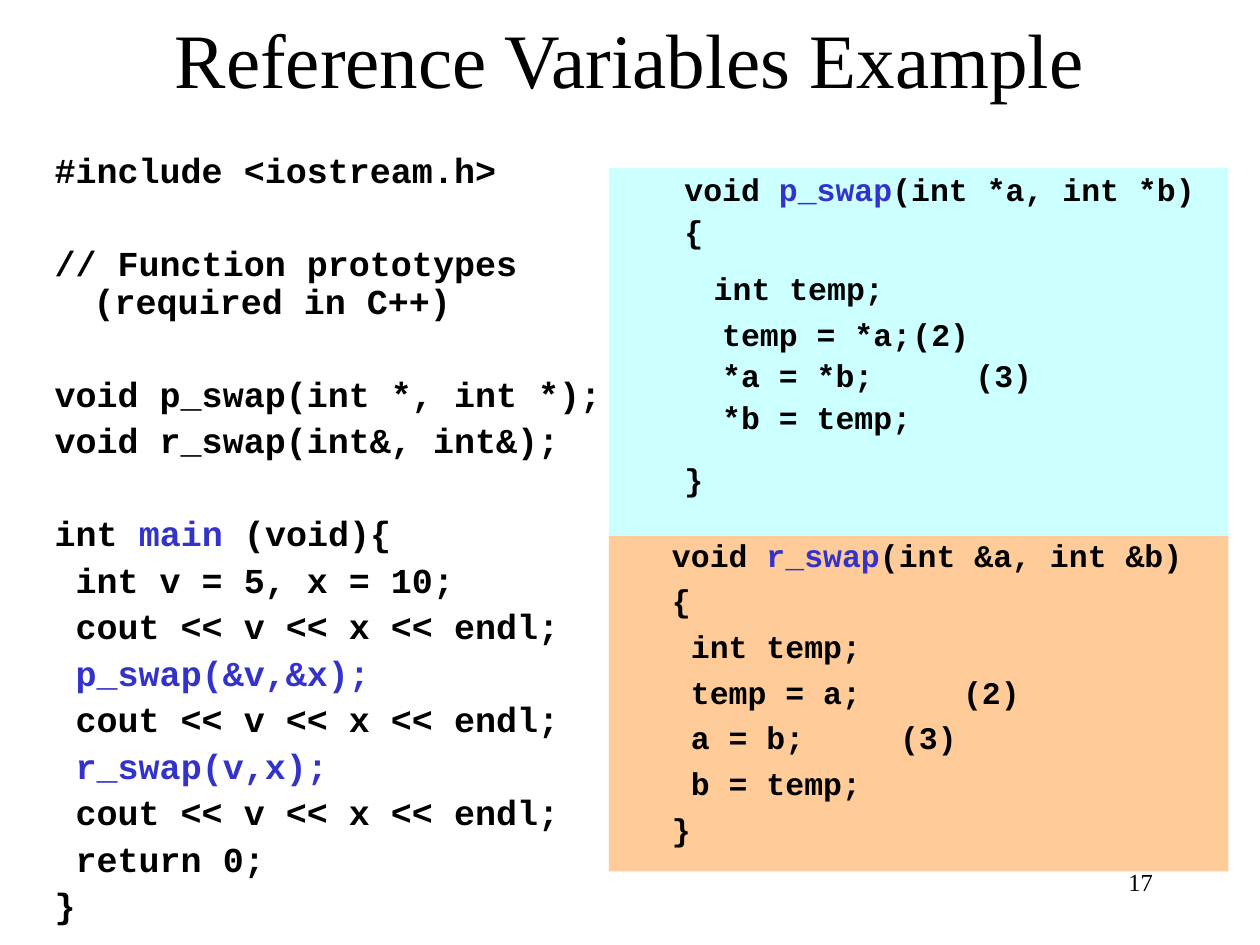
from dataclasses import dataclass

from lxml import etree
from pptx import Presentation
from pptx.dml.color import RGBColor
from pptx.enum.shapes import MSO_SHAPE
from pptx.enum.text import MSO_ANCHOR, MSO_AUTO_SIZE, PP_ALIGN
from pptx.oxml.ns import qn
from pptx.util import Inches, Pt

RECTANGLE = MSO_SHAPE.RECTANGLE
TOP, MIDDLE = MSO_ANCHOR.TOP, MSO_ANCHOR.MIDDLE
LEFT, CENTER, RIGHT = PP_ALIGN.LEFT, PP_ALIGN.CENTER, PP_ALIGN.RIGHT
NO_AUTOFIT = MSO_AUTO_SIZE.NONE

WIDTH, HEIGHT = Inches(10), Inches(7.5)
COLUMNS, ROWS = 120, 90


@dataclass(frozen=True)
class Theme:
    ink: RGBColor = RGBColor.from_string("000000")
    accent: RGBColor = RGBColor.from_string("3333CC")
    pointer_fill: RGBColor = RGBColor.from_string("CCFFFF")
    reference_fill: RGBColor = RGBColor.from_string("FFCC99")
    serif: str = "Times New Roman"
    mono: str = "Courier New"
    title_size: float = 44
    program_size: float = 20
    function_size: float = 18
    wide_indent_size: float = 28
    number_size: float = 14


THEME = Theme()


@dataclass(frozen=True)
class Line:
    """A code line; text between bars is accented, extra is added space before."""
    text: str
    extra: float = 0
    wide_indent: bool = False


BLANK_LINE = 26.5

PROGRAM = [
    Line("#include <iostream.h>"),
    Line("// Function prototypes (required in C++)", BLANK_LINE),
    Line("void p_swap(int *, int *);", BLANK_LINE),
    Line("void r_swap(int&, int&);"),
    Line("int |main| (void){", BLANK_LINE),
    Line(" int v = 5, x = 10;"),
    Line(" cout << v << x << endl;"),
    Line(" |p_swap(&v,&x);|"),
    Line(" cout << v << x << endl;"),
    Line(" |r_swap(v,x);|"),
    Line(" cout << v << x << endl;"),
    Line(" return 0;"),
    Line("}"),
]

POINTER_SWAP = [
    Line("void |p_swap|(int *a, int *b)"),
    Line("{"),
    Line(" int temp;", wide_indent=True),
    Line("  temp = *a;\t(2)"),
    Line("  *a = *b;\t\t(3)"),
    Line("  *b = temp;"),
    Line("}", extra=11.5),
]

REFERENCE_SWAP = [
    Line("void |r_swap|(int &a, int &b)"),
    Line("{"),
    Line(" int temp;"),
    Line(" temp = a;\t\t(2)"),
    Line(" a = b;\t\t(3)"),
    Line(" b = temp;"),
    Line("}"),
]


def grid(column, row, columns, rows):
    """Left, top, width and height of a block of grid cells."""
    return (WIDTH * column // COLUMNS, HEIGHT * row // ROWS,
            WIDTH * columns // COLUMNS, HEIGHT * rows // ROWS)


def place(shape, cells):
    shape.left, shape.top, shape.width, shape.height = grid(*cells)


def prepare_frame(frame, anchor=TOP, margins=(0.1, 0.05)):
    frame.word_wrap = True
    frame.auto_size = NO_AUTOFIT
    frame.vertical_anchor = anchor
    frame.margin_left = frame.margin_right = Inches(margins[0])
    frame.margin_top = frame.margin_bottom = Inches(margins[1])


def add_span(para, text, size, font, color=THEME.ink, bold=False):
    span = para.add_run()
    span.text = text
    span.font.name = font
    span.font.size = Pt(size)
    span.font.bold = bold
    span.font.color.rgb = color


def set_code_layout(para):
    """Hanging indent, no bullet and a tab stop at every inch."""
    properties = para._p.get_or_add_pPr()
    properties.set("marL", str(Inches(0.81)))
    properties.set("indent", str(Inches(-0.31)))
    etree.SubElement(properties, qn("a:buNone"))
    tabs = etree.SubElement(properties, qn("a:tabLst"))
    for inch in range(8):
        etree.SubElement(tabs, qn("a:tab"), pos=str(Inches(inch)), algn="l")


def write_code(frame, lines, size, spacing):
    for index, line in enumerate(lines):
        para = frame.add_paragraph() if index else frame.paragraphs[0]
        set_code_layout(para)
        para.alignment = LEFT
        para.line_spacing = spacing
        para.space_before = Pt(size / 4 + line.extra if index else 0)
        para.space_after = Pt(0)
        text = line.text
        if line.wide_indent:
            add_span(para, text[0], THEME.wide_indent_size, THEME.mono, bold=True)
            text = text[1:]
        for part, words in enumerate(text.split("|")):
            if words:
                color = THEME.accent if part % 2 else THEME.ink
                add_span(para, words, size, THEME.mono, color, bold=True)


def write_label(frame, text, size, alignment):
    para = frame.paragraphs[0]
    para.alignment = alignment
    add_span(para, text, size, THEME.serif)


def add_code_panel(page, cells, fill, lines, spacing, margins):
    panel = page.shapes.add_shape(RECTANGLE, *grid(*cells))
    panel.shadow.inherit = False
    panel.fill.solid()
    panel.fill.fore_color.rgb = fill
    panel.line.fill.background()
    prepare_frame(panel.text_frame, margins=margins)
    write_code(panel.text_frame, lines, THEME.function_size, spacing)


def add_page_number(page, cells, number):
    box = page.shapes.add_textbox(*grid(*cells))
    prepare_frame(box.text_frame)
    write_label(box.text_frame, number, THEME.number_size, RIGHT)


def main():
    deck = Presentation()
    deck.slide_width, deck.slide_height = WIDTH, HEIGHT
    page = deck.slides.add_slide(deck.slide_layouts[1])

    title, body = page.shapes.title, page.placeholders[1]
    place(title, (0, 1, 120, 9))
    prepare_frame(title.text_frame, MIDDLE)
    write_label(title.text_frame, "Reference Variables Example",
                THEME.title_size, CENTER)

    place(body, (-2, 14, 61, 75))
    prepare_frame(body.text_frame)
    write_code(body.text_frame, PROGRAM, THEME.program_size, 0.9)

    add_code_panel(page, (58, 51, 59, 32), THEME.reference_fill,
                   REFERENCE_SWAP, 1.0, (0, 0))
    add_code_panel(page, (58, 16, 59, 35), THEME.pointer_fill,
                   POINTER_SWAP, 0.9, (0.1, 0.05))
    add_page_number(page, (86, 82, 25, 6), "17")
    deck.save("out.pptx")


if __name__ == "__main__":
    main()
